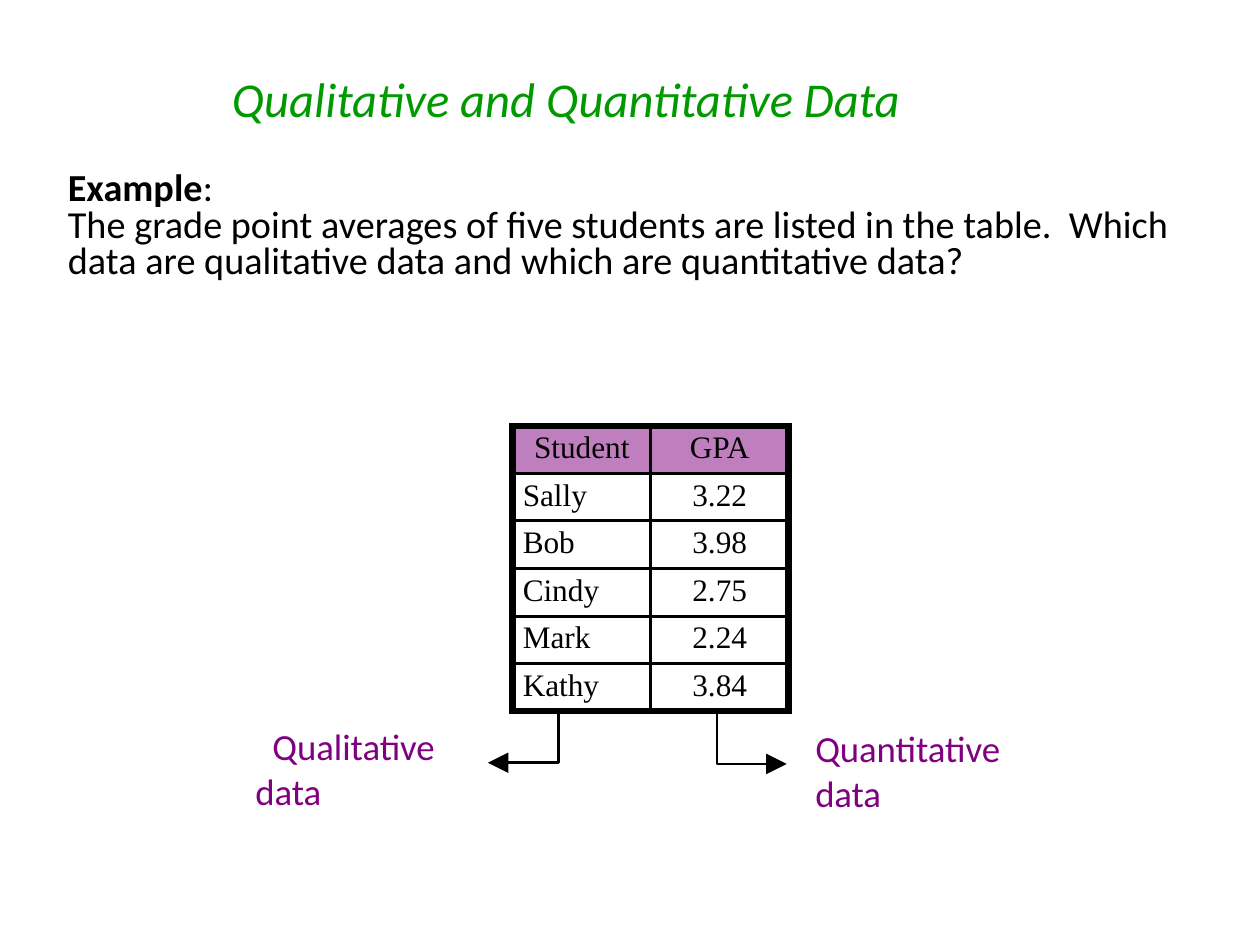
from lxml.etree import SubElement
from pptx import Presentation
from pptx.dml.color import RGBColor
from pptx.enum.text import MSO_ANCHOR, MSO_AUTO_SIZE, PP_ALIGN
from pptx.oxml import parse_xml
from pptx.oxml.ns import nsdecls, qn
from pptx.util import Emu, Pt

HUES = {"title": "009900", "ink": "000000", "accent": "800080"}
ROWS = [("Student", "GPA"), ("Sally", "3.22"), ("Bob", "3.98"),
        ("Cindy", "2.75"), ("Mark", "2.24"), ("Kathy", "3.84")]


def px(n):
    """Turn pixels into EMU."""
    return Emu(round(n * 914400 / 250))


def hue(name):
    """Look up a colour."""
    return RGBColor.from_string(HUES[name])


def style(par, size, tint, face="Calibri"):
    """Format every run of a paragraph."""
    for run in par.runs:
        run.font.size = Pt(size)
        run.font.name = face
        run.font.color.rgb = hue(tint)


def clear(frame):
    """Wrap the text and drop the margins."""
    frame.word_wrap = True
    frame.margin_left = frame.margin_right = 0
    frame.margin_top = frame.margin_bottom = 0


def title(slide, x, y, w, h):
    """Place the title."""
    head = slide.shapes.title
    head.left, head.top, head.width, head.height = map(px, (x, y, w, h))
    frame = head.text_frame
    frame.text = "Qualitative and Quantitative Data"
    clear(frame)
    frame.auto_size = MSO_AUTO_SIZE.NONE
    frame.vertical_anchor = MSO_ANCHOR.TOP
    par = frame.paragraphs[0]
    par.alignment = PP_ALIGN.LEFT
    style(par, 14, "title")
    par.runs[0].font.italic = True


def question(slide, x, y, w, h):
    """Write the example and its question."""
    frame = slide.shapes.add_textbox(*map(px, (x, y, w, h))).text_frame
    clear(frame)
    lead = frame.paragraphs[0]
    for text, bold in (("Example", True), (":", False)):
        run = lead.add_run()
        run.text = text
        run.font.bold = bold
    frame.add_paragraph().text = (
        "The grade point averages of five students are listed in the table.  "
        "Which data are qualitative data and which are quantitative data?")
    for par in frame.paragraphs:
        par.line_spacing = 0.8
        style(par, 11, "ink")


def border(cell, wide):
    """Draw the four cell edges, thick on the named sides."""
    props = cell._tc.get_or_add_tcPr()
    for i, side in enumerate("LRTB"):
        width = Pt(2.25 if side in wide else 1)
        props.insert(i, parse_xml(
            f'<a:ln{side} {nsdecls("a")} w="{width}"><a:solidFill>'
            f'<a:srgbClr val="{HUES["ink"]}"/></a:solidFill></a:ln{side}>'))


def grades(slide, x, y, w, h):
    """Build the table of grades."""
    table = slide.shapes.add_table(len(ROWS), 2, *map(px, (x, y, w, h))).table
    table.horz_banding = table.first_row = False
    for r, row in enumerate(ROWS):
        table.rows[r].height = px(h / len(ROWS))
        for c, text in enumerate(row):
            cell = table.cell(r, c)
            cell.text = text
            cell.margin_left = cell.margin_right = px(10)
            cell.margin_top = cell.margin_bottom = px(5)
            par = cell.text_frame.paragraphs[0]
            par.alignment = PP_ALIGN.LEFT if r and not c else PP_ALIGN.CENTER
            style(par, 9, "ink", "Times New Roman")
            if r:
                cell.fill.background()
            else:
                cell.fill.solid()
                cell.fill.fore_color.rgb = hue("accent")
                tint = next(cell._tc.tcPr.iter(qn("a:srgbClr")))
                SubElement(tint, qn("a:alpha")).set("val", "50000")
            edge = "LR"[c] + ("T" if r == 0 else "")
            border(cell, edge + ("B" if r == len(ROWS) - 1 else ""))


def arrow(slide, x, y, dx, dy):
    """Draw a bent arrow, down and then sideways."""
    pen = slide.shapes.build_freeform(px(x), px(y))
    pen.add_line_segments([(px(x), px(y + dy)), (px(x + dx), px(y + dy))],
                          close=False)
    bend = pen.convert_to_shape()
    bend.shadow.inherit = False
    bend.fill.background()
    bend.line.color.rgb = hue("ink")
    bend.line.width = Pt(0.75)
    SubElement(bend.line._get_or_add_ln(), qn("a:tailEnd")).set("type", "triangle")


def label(slide, text, x, y, w, h, indent=0):
    """Name a kind of data."""
    frame = slide.shapes.add_textbox(*map(px, (x, y, w, h))).text_frame
    frame.word_wrap = True
    frame.text = text
    par = frame.paragraphs[0]
    par._p.get_or_add_pPr().set("indent", str(px(indent)))
    style(par, 10.6, "accent")


def main():
    """Build the slide and save it."""
    deck = Presentation()
    deck.slide_width, deck.slide_height = Pt(363), Pt(272.5)
    slide = deck.slides.add_slide(deck.slide_layouts[5])
    title(slide, 232, 69, 760, 60)
    question(slide, 68, 172, 1122, 130)
    grades(slide, 513, 426, 276, 282)
    arrow(slide, 717, 710, 70, 54)
    label(slide, "Quantitative data", 791, 714, 288, 115)
    arrow(slide, 559, 710, -71, 53)
    label(slide, "Qualitative data", 231, 712, 288, 115, indent=17)
    deck.save("out.pptx")


if __name__ == "__main__":
    main()
